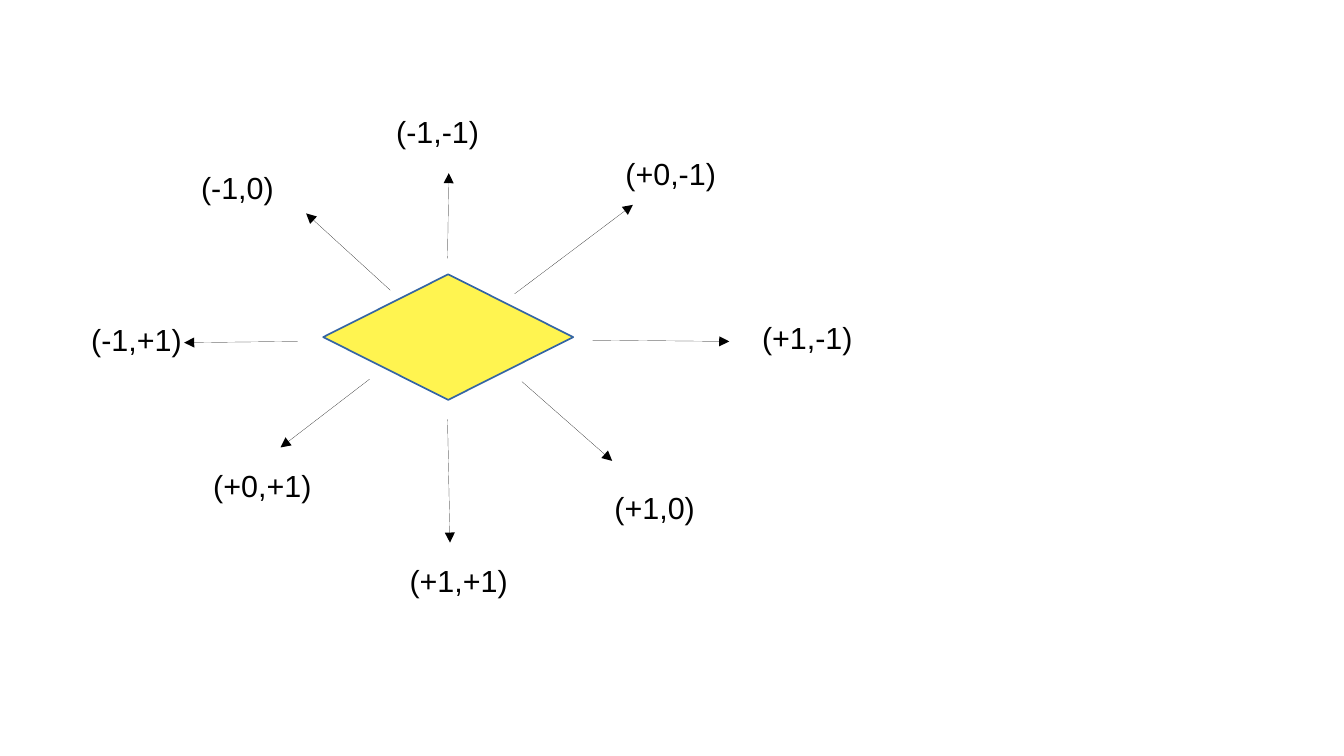
import pptx
import pptx.dml.color
import pptx.enum.shapes
import pptx.enum.text
import pptx.oxml.ns
import pptx.util
from lxml import etree
from pptx.util import Inches


def color(hex_string):
    return pptx.dml.color.RGBColor.from_string(hex_string)


deck = pptx.Presentation()
deck.slide_width = Inches(11.02)
deck.slide_height = Inches(6.2)
page = deck.slides.add_slide(deck.slide_layouts[6])

diamond = page.shapes.add_shape(
    pptx.enum.shapes.MSO_SHAPE.DIAMOND,
    Inches(2.65), Inches(2.25), Inches(2.05), Inches(1.03))
diamond.shadow.inherit = False
diamond.fill.solid()
diamond.fill.fore_color.rgb = color("FFF450")
diamond.line.color.rgb = color("3465A4")
diamond.line.width = pptx.util.Pt(1)

arrows = [
    (3.67, 2.12, 3.68, 1.42),
    (3.67, 3.44, 3.69, 4.45),
    (2.44, 2.8, 1.51, 2.81),
    (4.86, 2.79, 5.98, 2.8),
    (3.03, 3.11, 2.3, 3.67),
    (4.22, 2.41, 5.19, 1.68),
    (3.2, 2.38, 2.51, 1.75),
    (4.28, 3.13, 5.02, 3.78),
]
for ends in arrows:
    arrow = page.shapes.add_connector(
        pptx.enum.shapes.MSO_CONNECTOR.STRAIGHT, *[Inches(end) for end in ends])
    arrow.line.color.rgb = color("000000")
    outline = arrow.line._get_or_add_ln()
    outline.set("w", "0")
    etree.SubElement(outline, pptx.oxml.ns.qn("a:tailEnd"), type="triangle")
    etree.SubElement(arrow._element.spPr, pptx.oxml.ns.qn("a:effectLst"))

labels = [
    ("(+0,+1)", 1.65, 3.78, 1.02),
    ("(+0,-1)", 5.03, 1.22, 0.94),
    ("(+1,0)", 4.94, 3.96, 0.86),
    ("(-1,0)", 1.55, 1.34, 0.82),
    ("(+1,+1)", 3.26, 4.56, 1.02),
    ("(-1,-1)", 3.15, 0.88, 0.88),
    ("(-1,+1)", 0.65, 2.58, 0.94),
    ("(+1,-1)", 6.15, 2.57, 0.94),
]
for text, left, top, width in labels:
    box = page.shapes.add_textbox(
        Inches(left), Inches(top), Inches(width), Inches(0.38))
    box.text_frame.word_wrap = False
    box.text_frame.auto_size = pptx.enum.text.MSO_AUTO_SIZE.SHAPE_TO_FIT_TEXT
    para = box.text_frame.paragraphs[0]
    para.text = text
    para.font.name = "Arial"
    para.font.size = pptx.util.Pt(18)
    para.font.color.rgb = color("000000")

deck.save("out.pptx")
